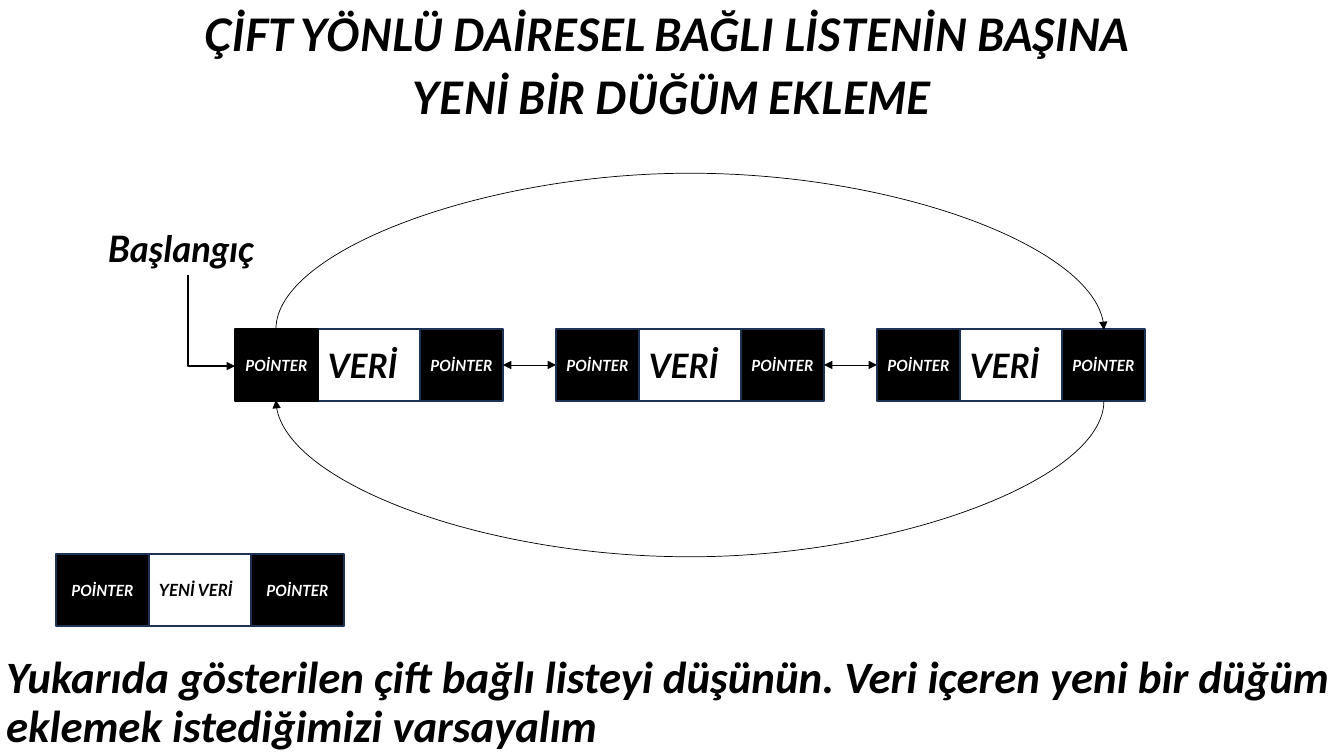
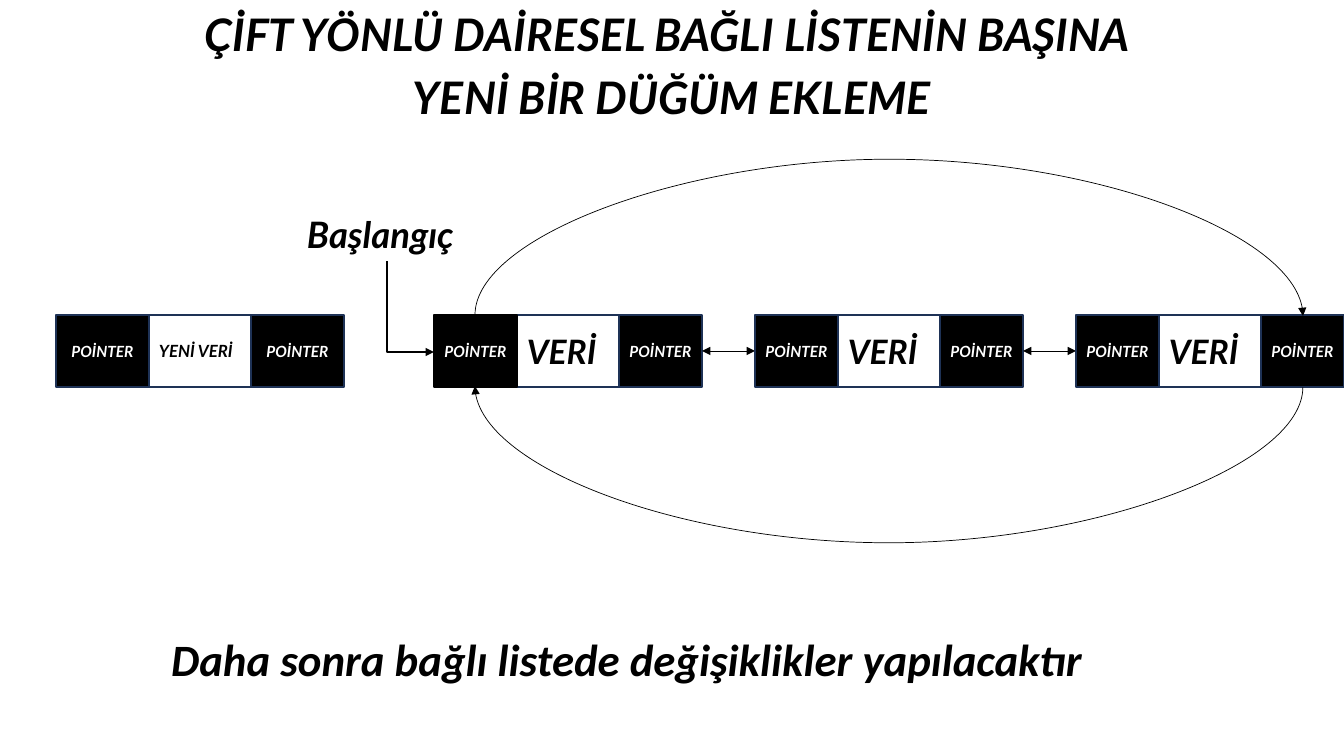
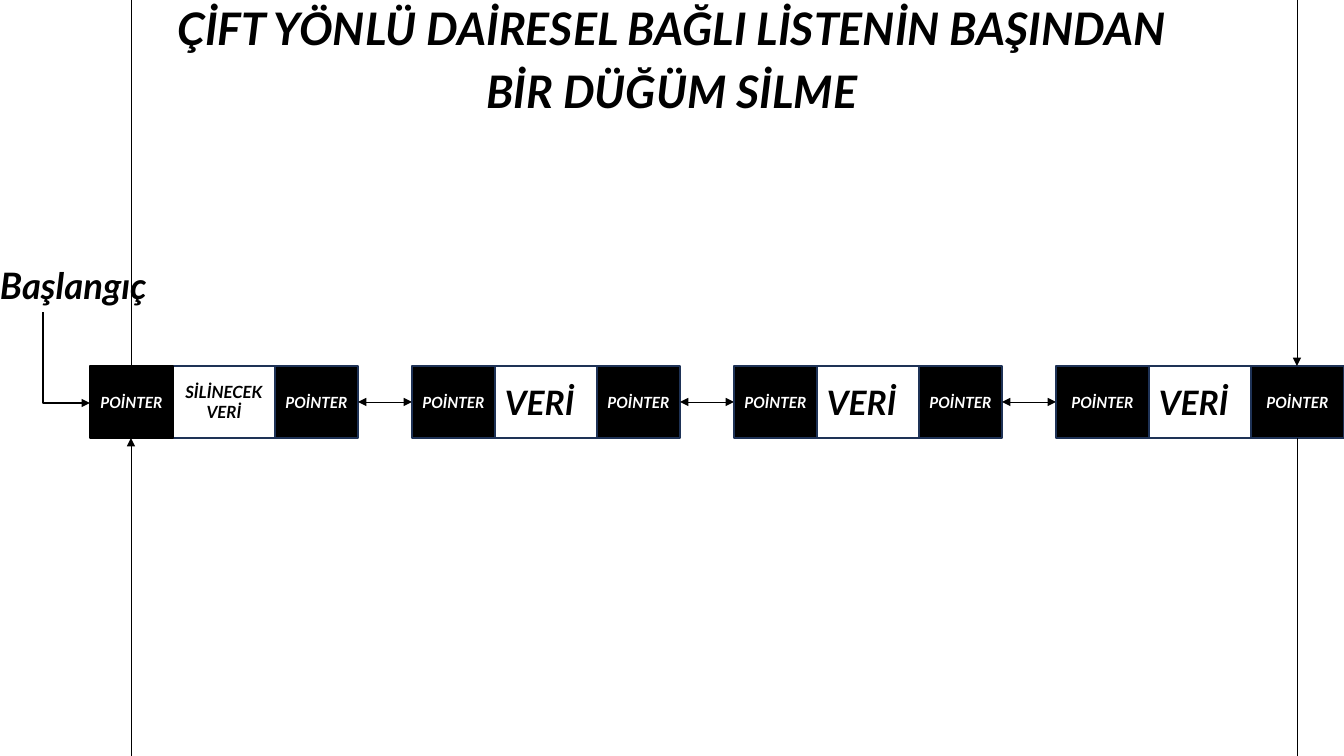
from pptx import Presentation
from pptx import util as u
from pptx.dml.color import RGBColor
from pptx.enum import shapes, text
from pptx.oxml import ns, xmlchemy

SCALE = 12192000 / 1344
BLACK, WHITE, NAVY = "000000", "FFFFFF", "1E3256"
ALIGN = text.PP_ALIGN
KIND = shapes.MSO_CONNECTOR
NODE_H, DATA_W, POINTER_W, WIDE_W = 72, 102, 83, 93


def px(n):
    return u.Emu(round(n * SCALE))


def rgb(value):
    return RGBColor.from_string(value)


def write(p, words, size, color=BLACK, font="Lato", align=None,
          before=None, after=None, spacing=None):
    r = p.add_run()
    r.text = words
    f = r.font
    f.name, f.size, f.bold, f.italic = font, u.Pt(size), True, True
    f.color.rgb = rgb(color)
    p.alignment = align
    p.line_spacing = spacing
    if before is not None:
        p.space_before = u.Pt(before)
    if after is not None:
        p.space_after = u.Pt(after)


def add_child(parent, tag, **attributes):
    child = parent.makeelement(ns.qn(tag), attributes)
    parent.append(child)
    return child


class Deck:
    """Holds the presentation, its style and the current slide."""

    def __init__(self):
        self.prs = Presentation()
        self.prs.slide_width, self.prs.slide_height = px(1344), px(756)
        self.s = None

    def place(self, sp, x, y, w, h):
        sp.left, sp.top, sp.width, sp.height = px(x), px(y), px(w), px(h)
        tf = sp.text_frame
        tf.word_wrap = True
        tf.auto_size = text.MSO_AUTO_SIZE.NONE
        tf.vertical_anchor = text.MSO_ANCHOR.TOP
        return tf

    def slide(self, lines, top=2, layout="Title and Content"):
        self.s = self.prs.slides.add_slide(
            self.prs.slide_layouts.get_by_name(layout))
        tf = self.place(self.s.shapes.title, 0, top, 1344, 139)
        for i, line in enumerate(lines):
            p = tf.add_paragraph() if i else tf.paragraphs[0]
            write(p, line, 32, align=ALIGN.CENTER, before=0, after=6, spacing=1.0)

    def body(self, words, x, y, w):
        tf = self.place(self.s.placeholders[1], x, y, w, 109)
        p = tf.paragraphs[0]
        write(p, words, 32, font="Calibri", align=ALIGN.LEFT, before=10, spacing=0.9)
        pPr = p._p.get_or_add_pPr()
        pPr.set("marL", str(px(12)))
        pPr.set("indent", "0")
        add_child(pPr, "a:buNone")

    def label(self, words, x, y):
        tf = self.place(self.s.shapes.add_textbox(0, 0, 0, 0), x, y, 230, 54)
        write(tf.paragraphs[0], words, 26)

    def cell(self, words, x, y, w, fill, line=NAVY, **style):
        sp = self.s.shapes.add_shape(shapes.MSO_SHAPE.RECTANGLE, 0, 0, 0, 0)
        tf = self.place(sp, x, y, w, NODE_H)
        tf.vertical_anchor = text.MSO_ANCHOR.MIDDLE
        sp.shadow.inherit = False
        sp.fill.solid()
        sp.fill.fore_color.rgb = rgb(fill)
        sp.line.color.rgb = rgb(line)
        sp.line.width = u.Pt(1)
        write(tf.paragraphs[0], words, **style)

    def node(self, words, x, y, pointer_w=POINTER_W, first_line=NAVY,
             size=24, align=ALIGN.JUSTIFY):
        """Draw pointer, data and pointer cells; return the right edge."""
        right = x + pointer_w + DATA_W
        self.cell(words, x + pointer_w, y, DATA_W, WHITE, size=size, align=align)
        for left, line in ((x, first_line), (right, NAVY)):
            self.cell("POİNTER", left, y, pointer_w, BLACK, line,
                      size=11, color=WHITE, align=ALIGN.CENTER)
        return right + pointer_w

    def line(self, x1, y1, x2, y2, kind=KIND.STRAIGHT, width=0.5,
             head=False, tail=True):
        c = self.s.shapes.add_connector(kind, px(x1), px(y1), px(x2), px(y2))
        c.line.color.rgb = rgb(BLACK)
        c.line.width = u.Pt(width)
        ln = c.line._get_or_add_ln()
        for tag, shown in (("a:headEnd", head), ("a:tailEnd", tail)):
            if shown:
                add_child(ln, tag, type="triangle")
        add_child(c._element.spPr, "a:effectLst")
        return c

    def turned(self, kind, x1, y1, x2, y2, rot, bend, width=0.5):
        """Connector that leaves vertically; bend is a share of its height."""
        cx, cy = (x1 + x2) / 2, (y1 + y2) / 2
        w, h = abs(y2 - y1) / 2, abs(x2 - x1) / 2
        c = self.line(cx + w, cy - h, cx - w, cy + h, kind, width)
        spPr = c._element.spPr
        spPr.find(ns.qn("a:xfrm")).set("rot", str(rot * 60000))
        guides = spPr.find(ns.qn("a:prstGeom")).find(ns.qn("a:avLst"))
        add_child(guides, "a:gd", name="adj1", fmla=f"val {bend * 100000}")

    def start(self, x, y, label_dx=-137):
        self.label("Başlangıç", x + label_dx, y - 108)
        self.turned(KIND.ELBOW, x - 47, y - 54, x, y + 37, 270, 1, width=1.5)

    def chain(self, nodes, x, y, gap=53):
        """Draw nodes joined by two-way arrows; nodes hold text and options."""
        for i, (words, options) in enumerate(nodes):
            if i:
                self.line(x, y + 36, x + gap, y + 36, head=True)
                x += gap
            x = self.node(words, x, y, **options)
        return x

    def ring(self, x, y):
        """Draw the circular list of three nodes."""
        self.start(x, y)
        end = self.chain([("VERİ", {"first_line": BLACK}),
                          ("VERİ", {}), ("VERİ", {})], x, y)
        left, right, bottom = x + 41, end - 41, y + NODE_H
        self.turned(KIND.CURVE, left, y, right, y + 1, 270, -157)
        self.turned(KIND.CURVE, right, bottom, left, bottom - 1, 90, -157)

    def new_node(self, y):
        self.node("YENİ VERİ", 56, y, pointer_w=WIDE_W, size=12)


def main():
    deck = Deck()
    insert_title = ("ÇİFT YÖNLÜ DAİRESEL BAĞLI LİSTENİN BAŞINA ",
                    "YENİ BİR DÜĞÜM EKLEME")

    deck.slide(insert_title)
    deck.new_node(554)
    deck.ring(235, 329)
    deck.body("Yukarıda gösterilen çift bağlı listeyi düşünün. Veri içeren yeni "
              "bir düğüm eklemek istediğimizi varsayalım", -16, 650, 1361)

    deck.slide(insert_title)
    deck.ring(434, 315)
    deck.new_node(315)
    deck.body("Daha sonra bağlı listede değişiklikler yapılacaktır", 149, 633, 1383)

    deck.slide(("ÇİFT YÖNLÜ DAİRESEL BAĞLI LİSTENİN BAŞINDAN",
                "BİR DÜĞÜM SİLME"), top=-4, layout="Title Only")
    x, y = 90, 366
    deck.start(x, y, label_dx=-100)
    deck.chain([("SİLİNECEK VERİ", {"first_line": BLACK, "size": 12,
                                    "align": ALIGN.CENTER}),
                ("VERİ", {}), ("VERİ", {}), ("VERİ", {"pointer_w": WIDE_W})],
               x, y, gap=54)
    left, right, bottom = x + 41, 1297, y + NODE_H
    deck.line(left, y, left, 0, tail=False)
    deck.line(right, 0, right, y)
    deck.line(right, bottom, right, 756, tail=False)
    deck.line(left, 756, left, bottom)

    deck.prs.save("out.pptx")


if __name__ == "__main__":
    main()
